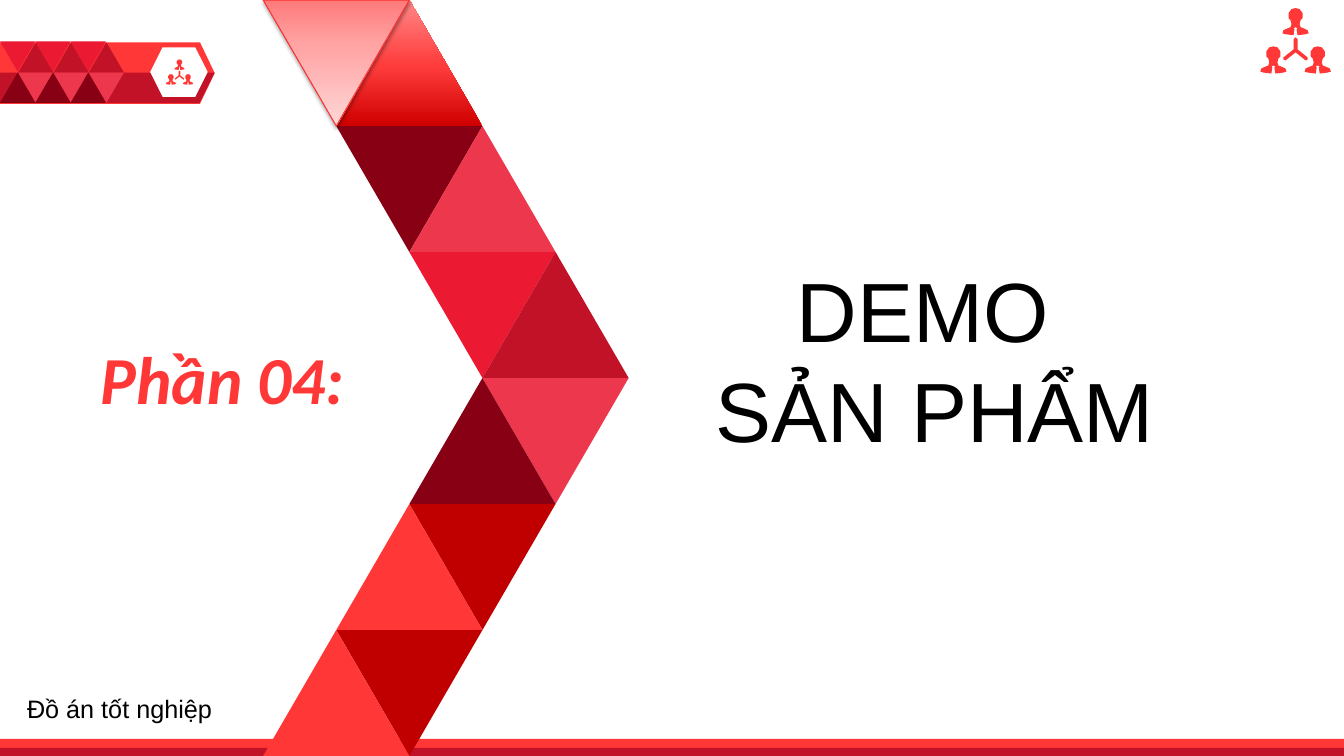
"""Build the section slide that introduces the product demo."""
from dataclasses import dataclass

from lxml import etree
from pptx import Presentation
from pptx import util as u
from pptx.dml.color import RGBColor
from pptx.enum import shapes, text
from pptx.oxml.ns import qn


@dataclass(frozen=True)
class Theme:
    red: str = "FF3737"
    crimson: str = "C21227"
    scarlet: str = "EB1932"
    rose: str = "ED374D"
    maroon: str = "880014"
    brick: str = "C00000"
    outline: str = "FD3030"
    white: str = "FFFFFF"
    black: str = "000000"
    flame: tuple = ((0, "CF0000"), (48, "FF3C3C"), (100, "FF8787"))
    glass: tuple = ((0, "FF7A7B"), (35, "FFA3A3"), (100, "FFD6D6"))
    heading_size: int = 60
    section_size: int = 48
    footer_size: int = 18
    heading_font: str = "Arial"
    section_font: str = "Calibri"


TRIANGLE = shapes.MSO_SHAPE.ISOSCELES_TRIANGLE
PERSON_HALF = [(0, 0), (0.04, 0.01), (0.07, 0.05), (0.07, 0.1), (0.05, 0.12),
               (0.04, 0.16), (0.05, 0.19), (0.1, 0.21), (0.12, 0.22), (0.13, 0.25),
               (0.1, 0.26), (0.02, 0.27), (0.01, 0.21), (0.02, 0.2), (0, 0.19)]
BRANCH_HALF = [(0, 0.29), (0.02, 0.31), (0.02, 0.41), (0.12, 0.49), (0.12, 0.51),
               (0.1, 0.52), (0, 0.44)]


def mirrored(half):
    return half + [(-x, y) for x, y in reversed(half)]


class SlideBuilder:
    def __init__(self, slide, theme):
        self.slide = slide
        self.theme = theme

    def paint(self, shape, fill):
        shape.shadow.inherit = False
        shape.line.fill.background()
        if isinstance(fill, str):
            shape.fill.solid()
            shape.fill.fore_color.rgb = RGBColor.from_string(fill)
            return shape
        shape.fill.gradient()
        shape.fill.gradient_angle = 90
        stops = next(shape._element.iter(qn("a:gsLst")))
        for stop in list(stops):
            stops.remove(stop)
        for position, color in fill:
            stop = etree.SubElement(stops, qn("a:gs"), pos=str(position * 1000))
            etree.SubElement(stop, qn("a:srgbClr"), val=color)
        return shape

    def preset(self, kind, box, fill, adjust=None, turn=0):
        shape = self.slide.shapes.add_shape(kind, *map(u.Inches, box))
        shape.rotation = turn
        if adjust is not None:
            shape.adjustments[0] = adjust
        return self.paint(shape, fill)

    def outline(self, contours, fill):
        contours = [[(u.Inches(x), u.Inches(y)) for x, y in c] for c in contours]
        builder = self.slide.shapes.build_freeform(*contours[0][0])
        for index, contour in enumerate(contours):
            if index:
                builder.move_to(*contour[0])
            builder.add_line_segments(contour[1:], close=True)
        return self.paint(builder.convert_to_shape(), fill)

    def team_icon(self, center, top, scale):
        people = [[(x + dx, y + dy) for x, y in mirrored(PERSON_HALF)]
                  for dx, dy in ((0.22, 0.38), (-0.22, 0.38), (0, 0))]
        contours = people + [mirrored(BRANCH_HALF)]
        self.outline([[(center + x * scale, top + y * scale) for x, y in c]
                      for c in contours], self.theme.red)

    def glass_edge(self, shape):
        shape.line.color.rgb = RGBColor.from_string(self.theme.outline)
        shape.line.width = u.Pt(0.75)
        effects = next(shape._element.iter(qn("a:effectLst")))
        cast = etree.SubElement(effects, qn("a:outerShdw"), blurRad=str(u.Pt(3.1)),
                                dist=str(u.Pt(1.6)), dir="5400000", rotWithShape="0")
        color = etree.SubElement(cast, qn("a:srgbClr"), val=self.theme.black)
        etree.SubElement(color, qn("a:alpha"), val="37000")

    def set_text(self, holder, box, lines, color, align, font):
        for side, inches in zip(("left", "top", "width", "height"), box):
            setattr(holder, side, u.Inches(inches))
        frame = holder.text_frame
        layout = {"word_wrap": True, "auto_size": text.MSO_AUTO_SIZE.NONE,
                  "vertical_anchor": text.MSO_ANCHOR.TOP}
        for name, value in layout.items():
            setattr(frame, name, value)
        frame.text = "\n".join(lines)
        for paragraph in frame.paragraphs:
            paragraph.alignment = align
            for run in paragraph.runs:
                run.font.color.rgb = RGBColor.from_string(color)
                for name, value in font.items():
                    setattr(run.font, name, value)

    def label(self, box, *style):
        self.set_text(self.slide.shapes.add_textbox(*map(u.Inches, box)), box, *style)

    def title(self, *style):
        self.set_text(self.slide.shapes.title, *style)


def draw_badge(page, theme):
    page.preset(shapes.MSO_SHAPE.PENTAGON, (0, 0.42, 2.13, 0.61), theme.red, 0.239)
    page.outline([[(0, 0.72), (2.13, 0.72), (1.98, 1.02), (0, 1.02)]], theme.crimson)
    page.preset(shapes.MSO_SHAPE.HEXAGON, (1.49, 0.47, 0.57, 0.49), theme.white, 0.25)
    page.team_icon(1.78, 0.59, 0.385)
    width, height = 0.35, 0.3
    tiles = ((0, 0.41, theme.scarlet, 180), (0.18, 0.42, theme.crimson, 0),
             (0.18, 0.72, theme.rose, 180), (0, 0.72, theme.maroon, 0))
    for column in range(3):
        for left, top, fill, turn in tiles:
            page.preset(TRIANGLE, (left + column * width, top, width, height),
                        fill, turn=turn)


def draw_chevron(page, theme):
    left, width, height = 2.61, 1.45, 1.25
    tiles = ((1, 0, theme.flame, 0), (1, 1, theme.maroon, 180),
             (0, 0, theme.glass, 180), (2, 1, theme.rose, 0),
             (2, 2, theme.scarlet, 180), (3, 2, theme.crimson, 0),
             (3, 3, theme.rose, 180), (2, 3, theme.maroon, 0),
             (2, 4, theme.brick, 180), (1, 4, theme.red, 0),
             (1, 5, theme.brick, 180), (0, 5, theme.red, 0))
    for step, row, fill, turn in tiles:
        tile = page.preset(TRIANGLE, (left + step * width / 2, row * height, width, height),
                           fill, turn=turn)
        if fill == theme.glass:
            page.glass_edge(tile)


def main():
    theme = Theme()
    deck = Presentation()
    deck.slide_width, deck.slide_height = u.Inches(13.33), u.Inches(7.5)
    page = SlideBuilder(deck.slides.add_slide(deck.slide_layouts[5]), theme)

    draw_badge(page, theme)
    for top, height, fill in ((7.33, 0.16, theme.red), (7.42, 0.08, theme.crimson)):
        page.preset(shapes.MSO_SHAPE.RECTANGLE, (0, top, 13.33, height), fill)
    draw_chevron(page, theme)
    page.team_icon(12.85, 0.08, 1)

    page.label((0.9, 3.3, 4.12, 0.9), ["Phần 04:"], theme.red, text.PP_ALIGN.LEFT,
               {"name": theme.section_font, "size": u.Pt(theme.section_size),
                "bold": True, "italic": True})
    page.title((6.57, 2.51, 5.4, 2.12), ["DEMO ", "SẢN PHẨM"], theme.black,
               text.PP_ALIGN.CENTER,
               {"name": theme.heading_font, "size": u.Pt(theme.heading_size)})
    page.label((0.17, 6.83, 2.83, 0.4), ["Đồ án tốt nghiệp"], theme.black,
               text.PP_ALIGN.LEFT,
               {"name": theme.heading_font, "size": u.Pt(theme.footer_size)})
    deck.save("out.pptx")


if __name__ == "__main__":
    main()
